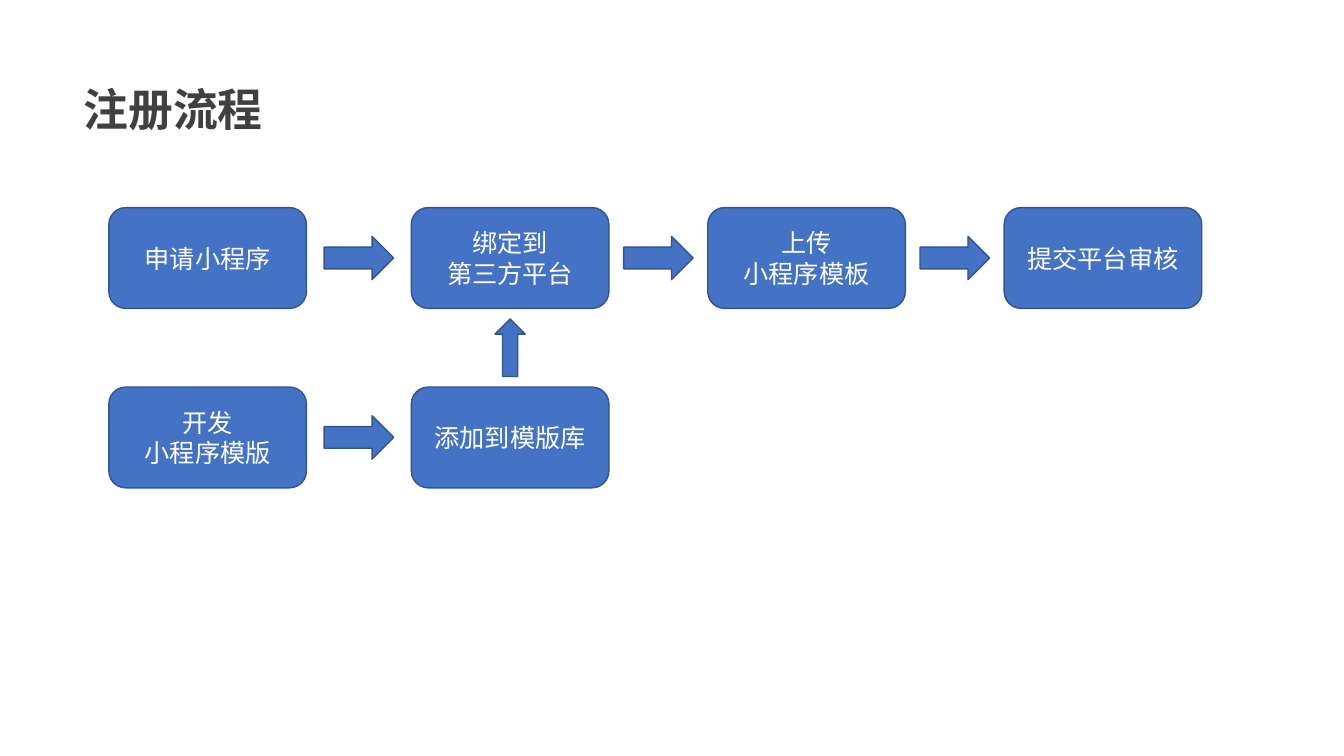
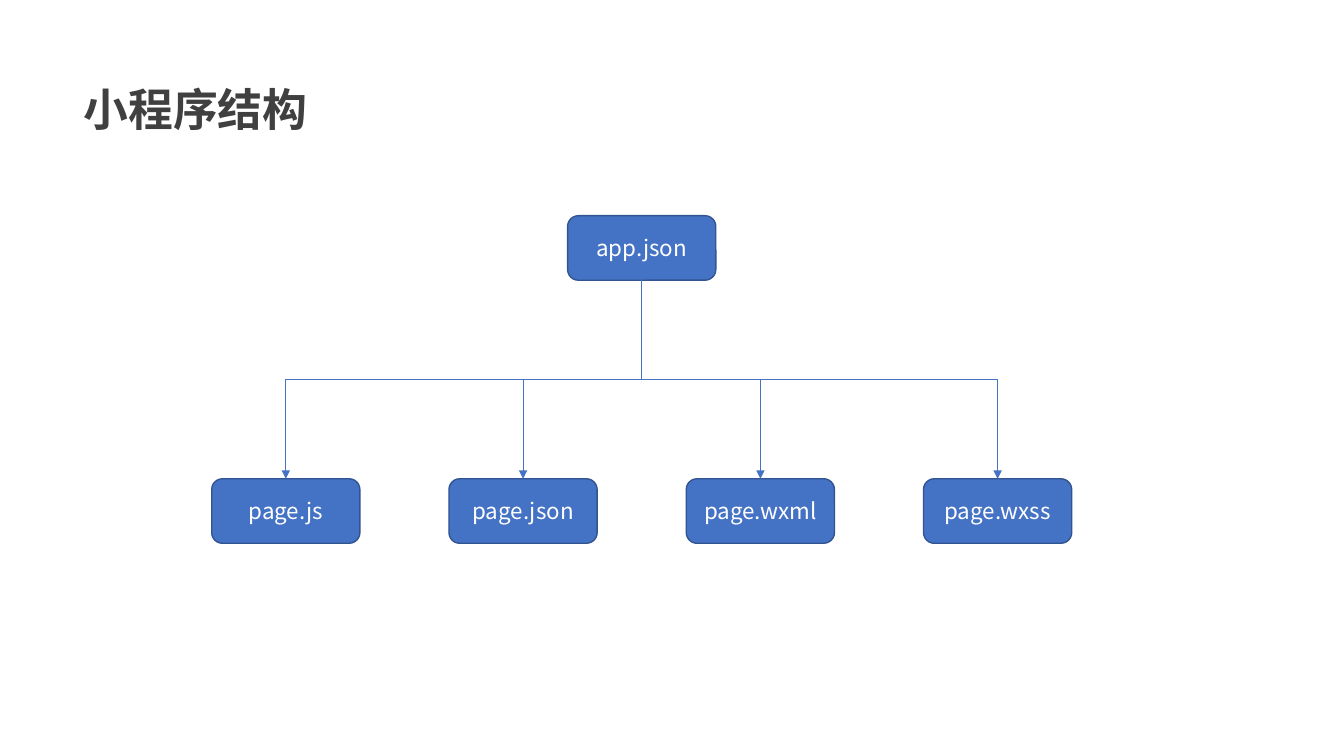
from lxml.etree import SubElement
from pptx import Presentation
from pptx.dml.color import RGBColor as RGB
from pptx.enum.shapes import MSO_CONNECTOR as LINK, MSO_SHAPE as SHAPE
from pptx.enum.text import MSO_ANCHOR as ANCHOR, MSO_AUTO_SIZE as AUTO, PP_ALIGN as ALIGN
from pptx.oxml.ns import qn
from pptx.util import Inches, Pt

COLORS = {"title": "404040", "fill": "4472C4", "edge": "325491", "text": "FFFFFF"}
FONT = "Noto Sans CJK SC"
TOP, BOTTOM = 0, 2  # connection sites of a box


def color(name):
    return RGB.from_string(COLORS[name])


def write(frame, text, size, tint, bold=False):
    frame.text = text
    frame.word_wrap = True
    for para in frame.paragraphs:
        for run in para.runs:
            font = run.font
            font.size, font.bold, font.name = Pt(size), bold, FONT
            font.color.rgb = color(tint)
            SubElement(run._r.get_or_add_rPr(), qn("a:ea"), typeface=FONT)


def add_page(deck, title):
    page = deck.slides.add_slide(deck.slide_layouts[6])
    box = page.shapes.add_textbox(Inches(0.73), Inches(0.49), Inches(4.4), Inches(0.81))
    frame = box.text_frame
    write(frame, title, 32, "title", True)
    frame.auto_size = AUTO.SHAPE_TO_FIT_TEXT
    frame.paragraphs[0].line_spacing = 1.5
    return page


def add_block(page, kind, left, top, width, height):
    block = page.shapes.add_shape(
        kind, Inches(left), Inches(top), Inches(width), Inches(height))
    block.shadow.inherit = False
    block.fill.solid()
    block.fill.fore_color.rgb = color("fill")
    block.line.color.rgb = color("edge")
    block.line.width = Pt(1)
    return block


def add_node(page, text, size, *area):
    node = add_block(page, SHAPE.ROUNDED_RECTANGLE, *area)
    frame = node.text_frame
    write(frame, text, size, "text")
    frame.vertical_anchor = ANCHOR.MIDDLE
    for para in frame.paragraphs:
        para.alignment = ALIGN.CENTER
    return node


def add_flow(page, left, top):
    """Place two rows of steps joined by block arrows."""
    width, height, drop = 1.96, 1, 1.78
    cols = [left + x for x in (0, 3, 5.94, 8.88)]
    rows = (
        ("申请小程序", "绑定到\n第三方平台", "上传\n小程序模板", "提交平台审核"),
        ("开发\n小程序模版", "添加到模版库"),
    )
    for i, row in enumerate(rows):
        y = top + i * drop
        for x, text in zip(cols, row):
            add_node(page, text, 18, x, y, width, height)
        for x, after in zip(cols, cols[1:len(row)]):
            mid = (x + width + after) / 2
            add_block(page, SHAPE.RIGHT_ARROW, mid - 0.345, y + height / 2 - 0.215, 0.69, 0.43)
    mid = top + (height + drop) / 2
    add_block(page, SHAPE.UP_ARROW, cols[1] + width / 2 - 0.15, mid - 0.285, 0.3, 0.57)


def add_branch(page, root, leaf):
    """Link root to leaf with an elbow that leaves downwards."""
    x1, y1 = root.left + root.width // 2, root.top + root.height
    x2, y2 = leaf.left + leaf.width // 2, leaf.top
    link = page.shapes.add_connector(LINK.ELBOW, x1, y1, x2, y2)
    link.begin_connect(root, BOTTOM)
    link.end_connect(leaf, TOP)
    # The elbow is drawn sideways, then turned about its centre.
    long, wide = y2 - y1, abs(x2 - x1)
    link.left, link.top = (x1 + x2 - long) // 2, (y1 + y2 - wide) // 2
    link.width, link.height = long, wide
    right = x2 > x1
    xfrm = link._element.spPr.find(qn("a:xfrm"))
    xfrm.set("rot", "16200000" if right else "5400000")
    xfrm.set("flipH", "1" if right else "0")
    link.line.color.rgb = color("fill")
    link.line.width = Pt(0.5)
    SubElement(link.line._get_or_add_ln(), qn("a:tailEnd"), type="triangle")
    SubElement(link._element.spPr, qn("a:effectLst"))


def add_tree(page, left, top, span):
    """Place one root centred above a row of leaves."""
    width, height, drop = 1.47, 0.64, 2.61
    names = ("page.js", "page.json", "page.wxml", "page.wxss")
    step = (span - width) / (len(names) - 1)
    root = add_node(page, "app.json", 16, left + (span - width) / 2, top, width, height)
    leaves = [add_node(page, name, 16, left + i * step, top + drop, width, height)
              for i, name in enumerate(names)]
    for leaf in leaves:
        add_branch(page, root, leaf)


def main():
    deck = Presentation()
    deck.slide_width, deck.slide_height = Inches(13.33), Inches(7.5)
    add_flow(add_page(deck, "注册流程"), 1.08, 2.06)
    add_tree(add_page(deck, "小程序结构"), 2.1, 2.14, 8.53)
    deck.save("out.pptx")


if __name__ == "__main__":
    main()
